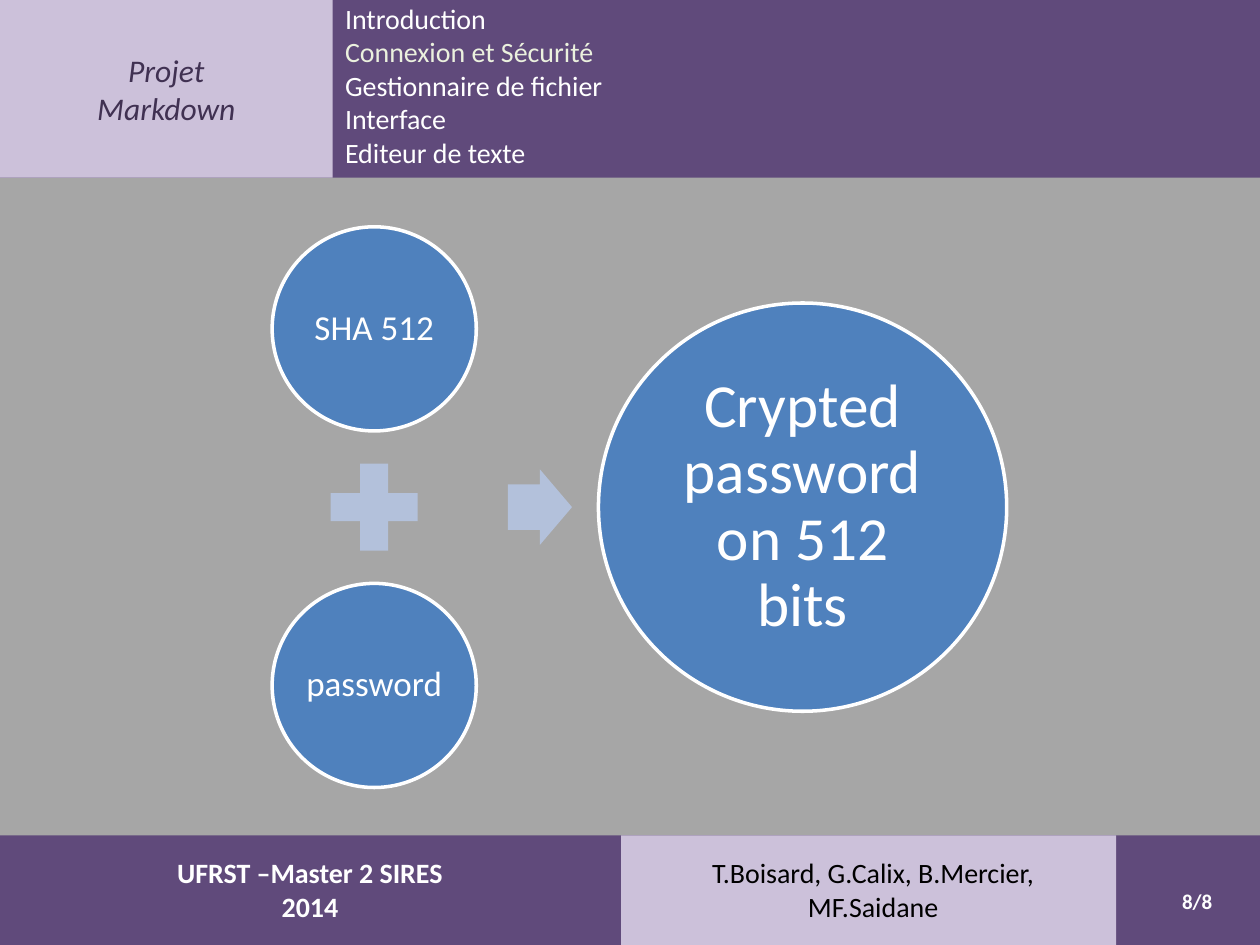
from dataclasses import dataclass
from typing import NamedTuple

from pptx import Presentation
from pptx import util as u
from pptx.dml import color
from pptx.enum import shapes, text


class Box(NamedTuple):
    left: float
    top: float
    width: float
    height: float

    def inches(self):
        return [u.Inches(length) for length in self]

    def inner(self, left, top, width, height):
        return Box(self.left + left, self.top + top, width, height)


@dataclass(frozen=True)
class Theme:
    font: str = "Calibri"
    grey: str = "A6A6A6"
    purple: str = "604A7B"
    lilac: str = "CCC1DA"
    plum: str = "403152"
    blue: str = "4F81BD"
    pale_blue: str = "B3C1DB"
    white: str = "FFFFFF"
    black: str = "000000"
    cream: str = "EBF1DE"
    title_size: int = 18
    body_size: int = 16
    number_size: int = 12
    input_size: int = 20
    result_size: int = 35


THEME = Theme()
SHAPE = shapes.MSO_SHAPE
ALIGN = text.PP_ALIGN
ANCHOR = text.MSO_ANCHOR


def rgb(value):
    return color.RGBColor.from_string(value)


def add_figure(page, box, fill, kind=SHAPE.RECTANGLE, outline=None):
    figure = page.shapes.add_shape(kind, *box.inches())
    figure.shadow.inherit = False
    figure.fill.solid()
    figure.fill.fore_color.rgb = rgb(fill)
    if outline:
        figure.line.color.rgb = rgb(outline)
        figure.line.width = u.Pt(2)
    else:
        figure.line.fill.background()
    return figure


def add_label(page, box):
    return page.shapes.add_textbox(*box.inches())


def write(holder, words, size, ink=THEME.white, align=ALIGN.CENTER,
          anchor=ANCHOR.MIDDLE, bold=False, italic=False):
    frame = holder.text_frame
    frame.word_wrap = True
    frame.vertical_anchor = anchor
    frame.text = words
    for para in frame.paragraphs:
        para.alignment = align
        for span in para.runs:
            span.font.name = THEME.font
            span.font.size = u.Pt(size)
            span.font.bold = bold
            span.font.italic = italic
            span.font.color.rgb = rgb(ink)
    return frame


def add_header(page, box):
    title_width = 2.64
    add_figure(page, box, THEME.purple)
    title = add_figure(page, box.inner(0, 0, title_width, box.height), THEME.lilac)
    write(title, "Projet\nMarkdown", THEME.title_size, THEME.plum, italic=True)

    sections = ["Introduction", "Connexion et Sécurité", "Gestionnaire de fichier",
                "Interface", "Editeur de texte"]
    agenda = add_label(page, box.inner(title_width, -0.04, 2.68, 1.45))
    frame = write(agenda, "\n".join(sections), THEME.body_size,
                  align=ALIGN.LEFT, anchor=ANCHOR.TOP)
    current = frame.paragraphs[sections.index("Connexion et Sécurité")]
    current.runs[0].font.color.rgb = rgb(THEME.cream)


def add_footer(page, box):
    add_figure(page, box, THEME.purple)
    add_figure(page, box.inner(4.93, 0, 3.93, box.height), THEME.lilac)
    course = add_figure(page, box.inner(0, 0.11, 4.92, 0.64), THEME.purple)
    write(course, "UFRST –Master 2 SIRES\n2014", THEME.body_size, bold=True)
    authors = add_figure(page, box.inner(5.08, 0.11, 3.7, 0.64), THEME.lilac)
    write(authors, "T.Boisard, G.Calix, B.Mercier, MF.Saidane",
          THEME.body_size, THEME.black)
    number = add_label(page, box.inner(7.39, 0.32, 2.33, 0.4))
    write(number, "8/8", THEME.number_size, align=ALIGN.RIGHT, bold=True)


def add_circle(page, box, words, size, inset):
    circle = add_figure(page, box, THEME.blue, SHAPE.OVAL, THEME.white)
    frame = write(circle, words, size)
    frame.paragraphs[0].line_spacing = 0.9
    frame.margin_left = frame.margin_right = u.Inches(inset)
    frame.margin_top = frame.margin_bottom = u.Inches(inset)


def add_equation(page, box):
    small, large, plus = 1.62, 3.24, 0.94
    middle = box.height / 2
    for top, words in ((0, "SHA 512"), (box.height - small, "password")):
        add_circle(page, box.inner(0, top, small, small), words,
                   THEME.input_size, 0.03)
    add_figure(page, box.inner((small - plus) / 2, middle - plus / 2, plus, plus),
               THEME.pale_blue, SHAPE.MATH_PLUS)
    arrow = add_figure(page, box.inner(1.87, middle - 0.3, 0.51, 0.6),
                       THEME.pale_blue, SHAPE.RIGHT_ARROW)
    arrow.adjustments[0] = 0.6
    add_circle(page, box.inner(box.width - large, middle - large / 2, large, large),
               "Crypted password on 512 bits", THEME.result_size, 0.05)


def main():
    deck = Presentation()
    deck.slide_width, deck.slide_height = u.Inches(10), u.Inches(7.5)
    page = deck.slides.add_slide(deck.slide_layouts[6])
    add_figure(page, Box(0, 0.48, 10, 6.87), THEME.grey)
    add_header(page, Box(0, 0, 10, 1.41))
    add_footer(page, Box(0, 6.63, 10, 0.87))
    add_equation(page, Box(2.16, 1.8, 5.83, 4.45))
    deck.save("out.pptx")


if __name__ == "__main__":
    main()
